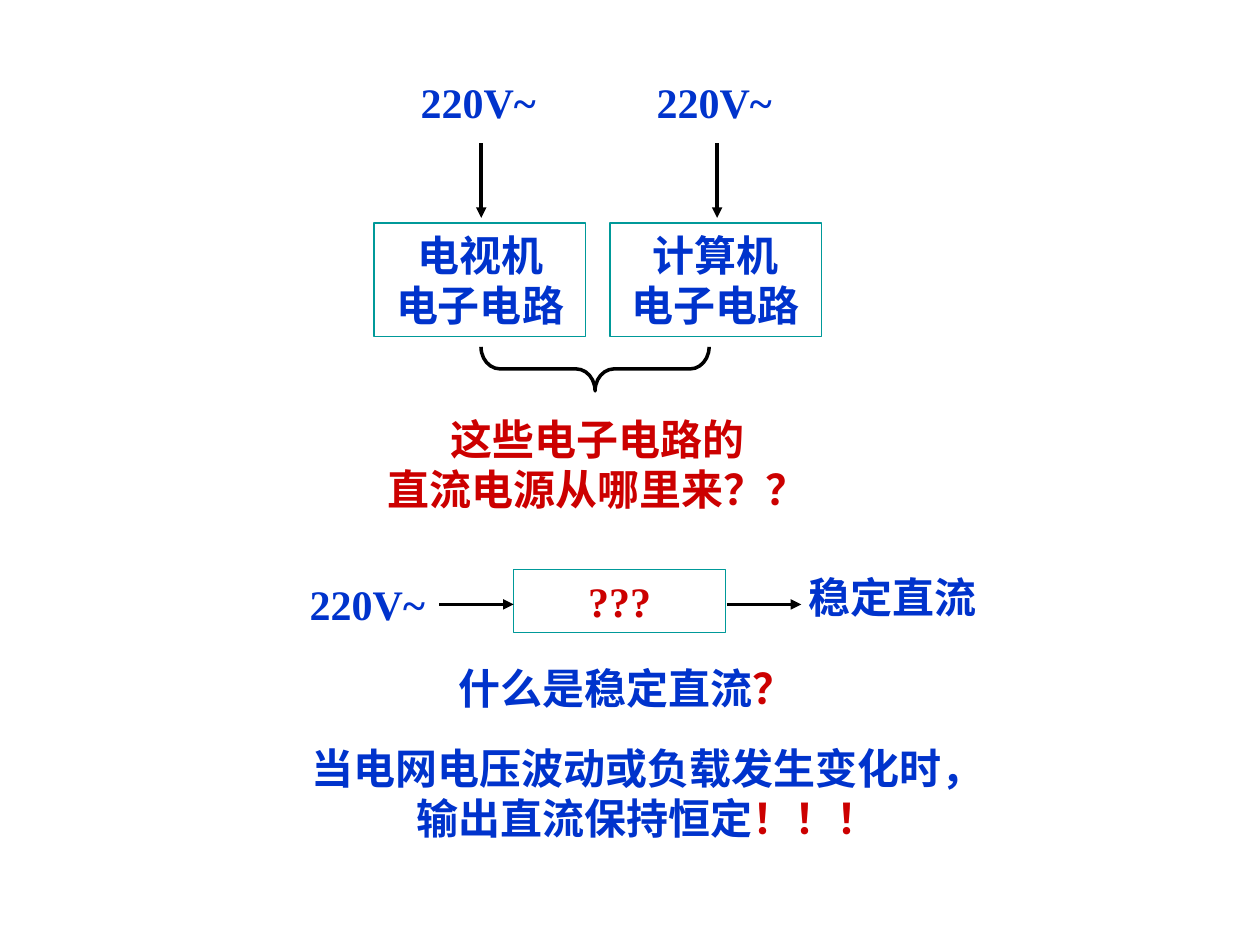
from lxml import etree
from pptx import Presentation
from pptx.dml.color import RGBColor
from pptx.enum import shapes, text
from pptx.oxml import ns
from pptx.util import Pt

BLUE = RGBColor(0x00, 0x33, 0xCC)
RED = RGBColor(0xCC, 0x00, 0x00)
TEAL = RGBColor(0x00, 0x99, 0x99)
BLACK = RGBColor(0x00, 0x00, 0x00)
CENTER = text.PP_ALIGN.CENTER
LEFT = text.PP_ALIGN.LEFT

BOX_WIDTH = 121
ONE_LINE, TWO_LINES = 36, 65
ARROW_LENGTH = 42.5

presentation = Presentation()
presentation.slide_width, presentation.slide_height = Pt(720), Pt(540)
slide = presentation.slides.add_slide(presentation.slide_layouts[6])


def add_text(lines, left, top, width, height, color=BLUE, align=CENTER, boxed=False):
    """Add lines of (text, color) runs or plain strings, with or without a frame."""
    bounds = Pt(left), Pt(top), Pt(width), Pt(height)
    if boxed:
        shape = slide.shapes.add_shape(shapes.MSO_SHAPE.RECTANGLE, *bounds)
        shape.shadow.inherit = False
        shape.fill.background()
        shape.line.color.rgb = TEAL
        shape.line.width = Pt(0.75)
    else:
        shape = slide.shapes.add_textbox(*bounds)
    frame = shape.text_frame
    frame.word_wrap = True
    frame.vertical_anchor = text.MSO_ANCHOR.TOP
    for index, line in enumerate(lines):
        paragraph = frame.add_paragraph() if index else frame.paragraphs[0]
        paragraph.alignment = align
        for words, run_color in [(line, color)] if isinstance(line, str) else line:
            run = paragraph.add_run()
            run.text = words
            run.font.name = "Times New Roman"
            run.font.size = Pt(24)
            run.font.bold = True
            run.font.color.rgb = run_color


def add_arrow(x1, y1, x2, y2):
    """Add a black line with an arrowhead at its end."""
    arrow = slide.shapes.add_connector(
        shapes.MSO_CONNECTOR.STRAIGHT, Pt(x1), Pt(y1), Pt(x2), Pt(y2))
    arrow.line.color.rgb = BLACK
    arrow.line.width = Pt(2)
    etree.SubElement(arrow.line._get_or_add_ln(), ns.qn("a:tailEnd"), type="triangle")
    etree.SubElement(arrow._element.spPr, ns.qn("a:effectLst"))


# Two devices, each fed from the mains
for column, device in enumerate(["电视机", "计算机"]):
    left = 213.8 + column * 134.8
    add_text(["220V~"], left + 19.5, 40.3, 83.5, ONE_LINE, align=LEFT)
    add_arrow(left + 61.2, 82, left + 61.2, 82 + ARROW_LENGTH)
    add_text([device, "电子电路"], left, 127.4, BOX_WIDTH, TWO_LINES, boxed=True)

# Brace under both devices, pointing down
brace = slide.shapes.add_shape(
    shapes.MSO_SHAPE.RIGHT_BRACE, Pt(327.4), Pt(145.6), Pt(25.2), Pt(130.4))
brace.rotation = 90
brace.adjustments[0] = 0.43
brace.shadow.inherit = False
brace.fill.background()
brace.line.color.rgb = BLACK
brace.line.width = Pt(2)

add_text(["这些电子电路的", "直流电源从哪里来？？"], 203.8, 232.6, 275, TWO_LINES, color=RED)

# Mains to stable direct current
add_text(["220V~"], 169.9, 326.9, 83.5, ONE_LINE, align=LEFT)
add_text(["???"], 293.5, 325.5, BOX_WIDTH, ONE_LINE, color=RED, boxed=True)
for start in (251, 415.4):
    add_arrow(start, 345.4, start + ARROW_LENGTH, 345.4)
add_text(["稳定直流"], 455, 323.3, 121.7, ONE_LINE, align=LEFT)

add_text([[("什么是稳定直流", BLUE), ("？", RED)]], 254.9, 375.1, 218.2, ONE_LINE, align=LEFT)
add_text(["当电网电压波动或负载发生变化时，", [("输出直流保持恒定", BLUE), ("！！！", RED)]],
         147.6, 420.5, 445, TWO_LINES)

presentation.save("out.pptx")
